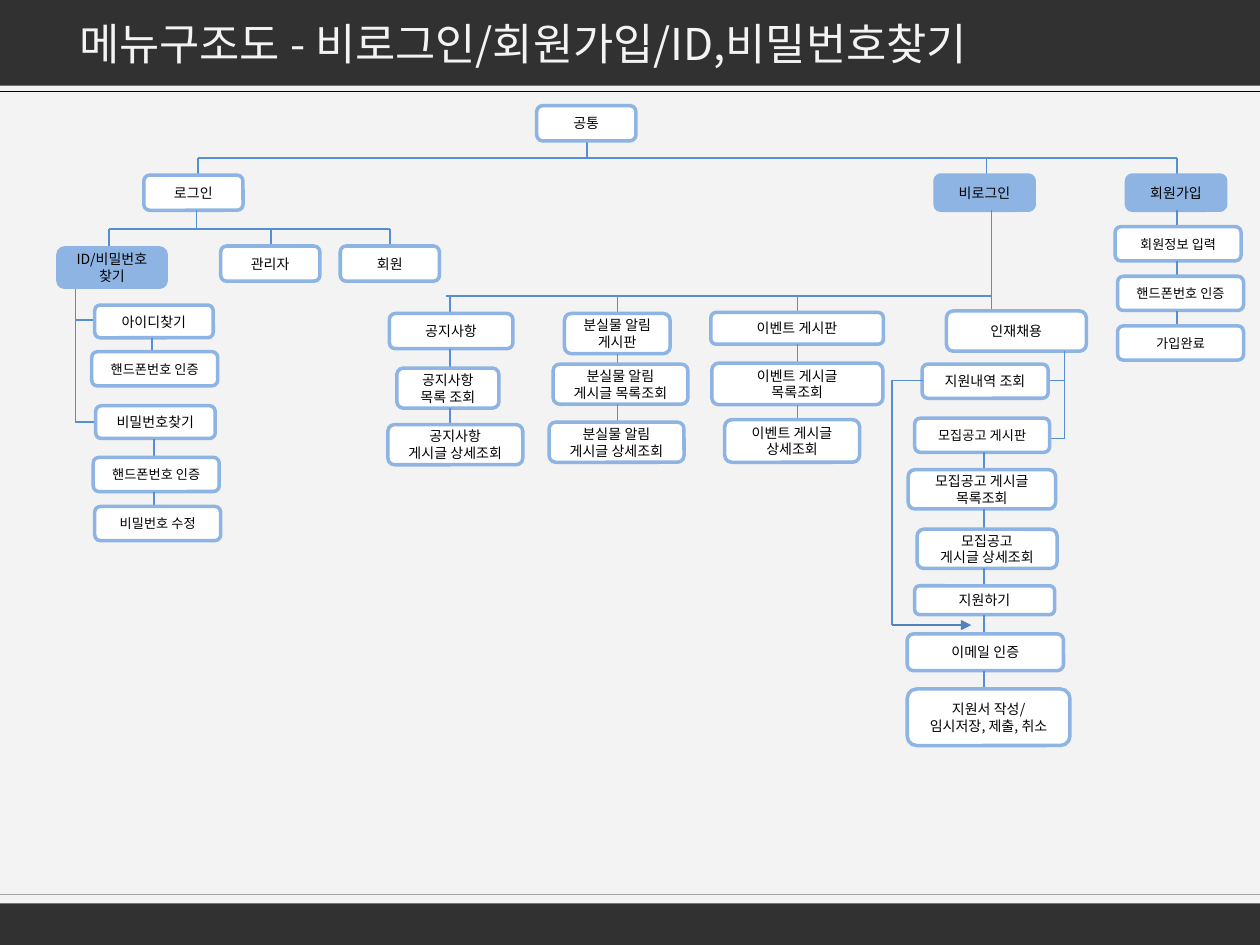
from dataclasses import dataclass

from pptx import Presentation
from pptx.dml.color import RGBColor
from pptx.enum.shapes import MSO_CONNECTOR, MSO_SHAPE
from pptx.enum.text import MSO_ANCHOR, PP_ALIGN
from pptx.oxml.ns import qn
from pptx.util import Cm, Pt
from lxml.etree import SubElement


@dataclass(frozen=True)
class Theme:
    font: str = "Noto Sans CJK KR"
    paper: str = "F3F3F3"
    dark: str = "313131"
    ink: str = "000000"
    rule: str = "A6A6A6"
    white: str = "FFFFFF"
    accent: str = "8EB4E3"
    link: str = "558ED5"
    arrow: str = "4F81BD"
    title: float = 25
    label: float = 8
    small: float = 7.5


@dataclass(frozen=True)
class Box:
    """Region in centimetres; its parts are placed from the top left corner."""
    left: float
    top: float
    width: float
    height: float


THEME = Theme()
NODE = (2.0, 0.71)
STEP = (2.54, 0.69)
WIDE = (2.72, 0.81)


def color(value):
    return RGBColor.from_string(value)


def style_text(frame, size, ink, align):
    frame.word_wrap = True
    frame.vertical_anchor = MSO_ANCHOR.MIDDLE
    for para in frame.paragraphs:
        para.alignment = align
        for span in para.runs:
            span.font.size = Pt(size)
            span.font.name = THEME.font
            span.font.color.rgb = color(ink)
            fonts = span.font._element
            SubElement(fonts, qn("a:ea")).set("typeface", THEME.font)


def add_node(page, box, text, left, top, size, filled=False, small=False):
    shape = page.shapes.add_shape(
        MSO_SHAPE.ROUNDED_RECTANGLE, Cm(box.left + left), Cm(box.top + top),
        Cm(size[0]), Cm(size[1]))
    shape.shadow.inherit = False
    shape.fill.solid()
    shape.fill.fore_color.rgb = color(THEME.accent if filled else THEME.white)
    shape.line.color.rgb = color(THEME.accent)
    shape.line.width = Pt(2)
    shape.text_frame.text = text
    style_text(shape.text_frame, THEME.small if small else THEME.label,
               THEME.ink, PP_ALIGN.CENTER)


def add_link(page, box, x1, y1, x2, y2, stroke=THEME.link, width=1, arrow=False):
    link = page.shapes.add_connector(
        MSO_CONNECTOR.STRAIGHT, Cm(box.left + x1), Cm(box.top + y1),
        Cm(box.left + x2), Cm(box.top + y2))
    link.line.color.rgb = color(stroke)
    link.line.width = Pt(width)
    if arrow:
        SubElement(link.line._get_or_add_ln(), qn("a:tailEnd")).set("type", "triangle")
    SubElement(link._element.spPr, qn("a:effectLst"))


def add_chain(page, box, x, nodes, start=None, small=False):
    """Stack nodes and join each one to the node above it at x."""
    bottom = start
    for text, left, top, size in nodes:
        if bottom is not None:
            add_link(page, box, x, bottom, x, top)
        add_node(page, box, text, left, top, size, small=small)
        bottom = top + size[1]


def add_frame(page, box):
    # Dark bars at the head and foot
    for top, height in ((0, 1.73), (18.21, 0.84)):
        bar = page.shapes.add_shape(
            MSO_SHAPE.RECTANGLE, Cm(box.left), Cm(box.top + top),
            Cm(box.width), Cm(height))
        bar.shadow.inherit = False
        bar.fill.solid()
        bar.fill.fore_color.rgb = color(THEME.dark)
        bar.line.fill.background()
    # Thin rules beside the bars
    for y, stroke in ((1.85, THEME.ink), (18.03, THEME.rule)):
        add_link(page, box, 0, y, box.width, y, stroke, 0.75)
    # Title
    title = page.shapes.add_textbox(
        Cm(box.left + 1.35), Cm(box.top + 0.2), Cm(21.13), Cm(1.32))
    title.text_frame.text = "메뉴구조도 - 비로그인/회원가입/ID,비밀번호찾기"
    style_text(title.text_frame, THEME.title, THEME.paper, PP_ALIGN.LEFT)


def add_top_level(page, box):
    bus, row = 1.05, 1.4
    branches = (("로그인", 0, 1.09, False), ("비로그인", 15.95, 16.99, True),
                ("회원가입", 19.81, 20.82, True))
    add_link(page, box, branches[0][2], bus, branches[-1][2], bus)
    add_link(page, box, 8.94, NODE[1], 8.94, bus)
    add_node(page, box, "공통", 7.92, 0, NODE)
    for text, left, x, filled in branches:
        add_link(page, box, x, bus, x, row)
        add_node(page, box, text, left, row, NODE, filled)


def add_login(page, box):
    # Second level under the login node
    bus, row = 0.38, 0.72
    add_link(page, box, 2.79, 0, 2.79, bus)
    add_link(page, box, 1.03, bus, 6.69, bus)
    for text, left, x, size, filled in (
            ("ID/비밀번호 찾기", 0, 1.03, (2.18, 0.79), True),
            ("관리자", 3.28, 4.29, NODE, False),
            ("회원", 5.69, 6.69, NODE, False)):
        add_link(page, box, x, bus, x, row)
        add_node(page, box, text, left, row + 0.04 * filled, size, filled)
    # Search for ID and password
    trunk = 0.35
    add_link(page, box, trunk, 1.58, trunk, 4.27)
    for y in (2.21, 4.27):
        add_link(page, box, trunk, y, 0.75, y)
    add_node(page, box, "아이디찾기", 0.74, 1.91, (2.39, 0.66))
    add_chain(page, box, 1.9, [("핸드폰번호 인증", 0.68, 2.85, STEP)],
              start=2.57, small=True)
    add_node(page, box, "비밀번호찾기", 0.76, 3.94, (2.41, 0.66))
    add_chain(page, box, 1.94, [("핸드폰번호 인증", 0.71, 4.98, STEP),
                                ("비밀번호 수정", 0.74, 5.97, STEP)],
              start=4.6, small=True)


def add_signup(page, box):
    steps = ("회원정보 입력", "핸드폰번호 인증", "가입완료")
    nodes = [(text, 0.05 * (index > 0), 0.33 + index, STEP)
             for index, text in enumerate(steps)]
    add_chain(page, box, 1.25, nodes, start=0, small=True)


def add_boards(page, box):
    bus, trunk = 1.73, 12.17
    add_link(page, box, trunk, 0, trunk, 2.06)
    add_link(page, box, 1.17, bus, trunk, bus)
    columns = (
        (1.25, [("공지사항", 0.03, 2.08, (2.49, 0.71)),
                ("공지사항 목록 조회", 0.18, 3.18, (2.06, 0.81)),
                ("공지사항\n게시글 상세조회", 0, 4.32, WIDE)]),
        (4.63, [("분실물 알림\n게시판", 3.56, 2.08, (2.13, 0.81)),
                ("분실물 알림\n게시글 목록조회", 3.33, 3.1, WIDE),
                ("분실물 알림\n게시글 상세조회", 3.25, 4.27, WIDE)]),
        (8.26, [("이벤트 게시판", 6.51, 2.06, (3.48, 0.64)),
                ("이벤트 게시글\n목록조회", 6.53, 3.08, (3.45, 0.84)),
                ("이벤트 게시글\n상세조회", 6.79, 4.22, (2.72, 0.86))]))
    for x, nodes in columns:
        add_chain(page, box, x, nodes, start=bus)


def add_recruiting(page, box):
    # Entry node with two branches on its right
    trunk, history, board = 3.48, 1.4, 2.57
    add_node(page, box, "인재채용", 1.1, 0, (2.82, 0.81))
    add_link(page, box, trunk, 0.81, trunk, board)
    for y in (history, board):
        add_link(page, box, trunk, y, 3.16, y)
    add_node(page, box, "지원내역 조회", 0.61, 1.07, STEP)
    add_node(page, box, "모집공고 게시판", 0.46, 2.16, (2.72, 0.69), small=True)
    # Application steps
    add_chain(page, box, 1.86, [
        ("모집공고 게시글\n목록조회", 0.33, 3.2, (2.97, 0.79)),
        ("모집공고\n게시글 상세조회", 0.51, 4.4, (2.82, 0.79)),
        ("지원하기", 0.46, 5.54, (2.82, 0.58)),
        ("이메일 인증", 0.31, 6.51, (3.15, 0.74)),
        ("지원서 작성/\n임시저장, 제출, 취소", 0.31, 7.62, (3.28, 1.14))], start=2.85)
    # Shortcut from the history to the e-mail check
    add_link(page, box, 0.62, history, 0, history)
    add_link(page, box, 0, history, 0, 6.33)
    add_link(page, box, 0, 6.33, 1.6, 6.33, THEME.arrow, 0.75, arrow=True)


def main():
    deck = Presentation()
    deck.slide_width, deck.slide_height = Cm(25.4), Cm(19.05)
    page = deck.slides.add_slide(deck.slide_layouts[6])
    page.background.fill.solid()
    page.background.fill.fore_color.rgb = color(THEME.paper)
    add_frame(page, Box(0, 0, 25.4, 19.05))
    add_top_level(page, Box(2.9, 2.13, 21.81, 2.11))
    add_login(page, Box(1.17, 4.24, 7.69, 6.66))
    add_signup(page, Box(22.48, 4.24, 2.59, 3.02))
    add_boards(page, Box(7.82, 4.24, 12.17, 5.13))
    add_recruiting(page, Box(17.98, 6.27, 3.92, 8.76))
    deck.save("out.pptx")


if __name__ == "__main__":
    main()
